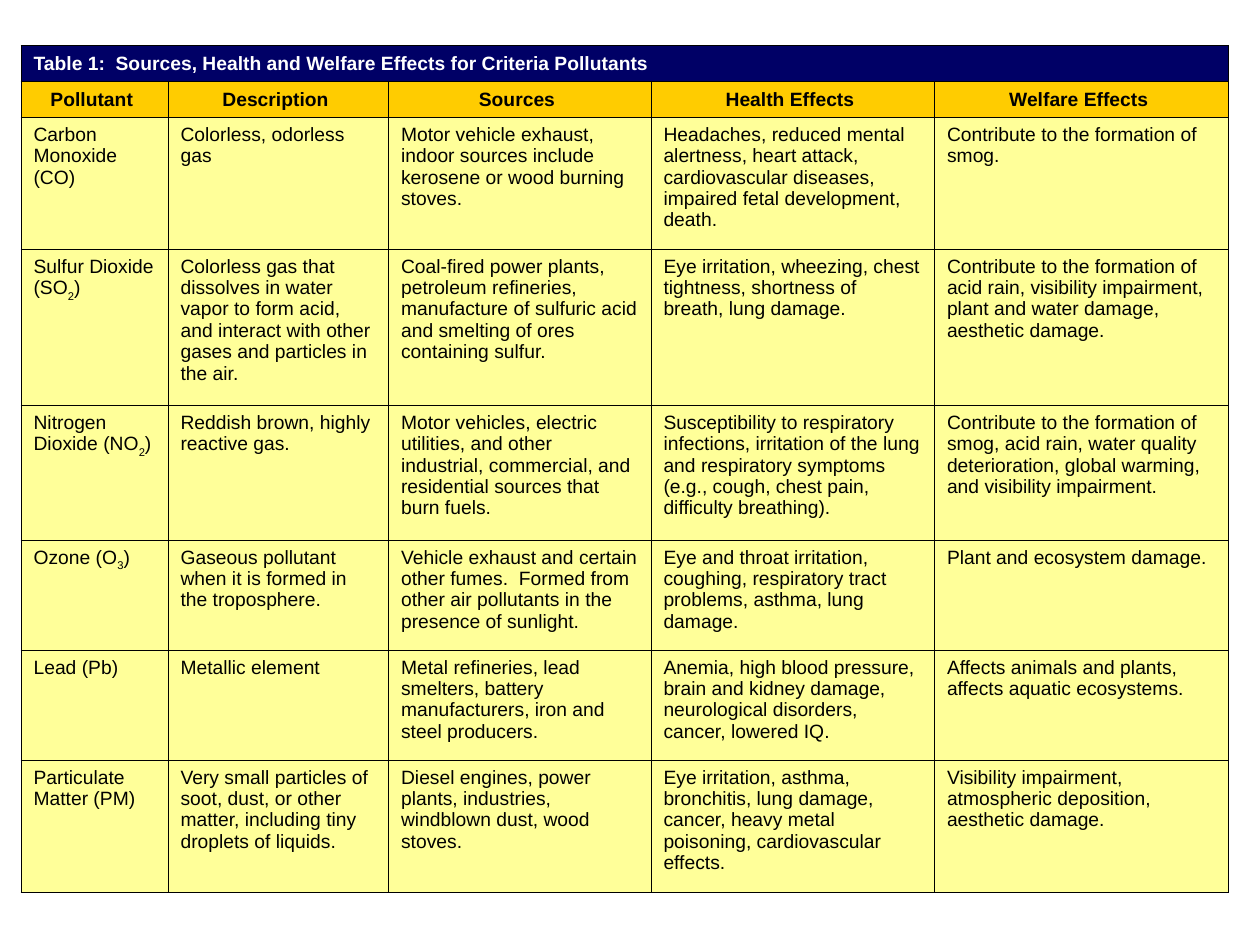
import lxml.etree
import pptx
import pptx.dml.color
import pptx.enum.text
import pptx.oxml.ns
import pptx.util

Pt = pptx.util.Pt
RGBColor = pptx.dml.color.RGBColor
ALIGN = pptx.enum.text.PP_ALIGN
ANCHOR = pptx.enum.text.MSO_ANCHOR

NAVY = RGBColor(0x00, 0x00, 0x66)
GOLD = RGBColor(0xFF, 0xCC, 0x00)
PALE_YELLOW = RGBColor(0xFF, 0xFF, 0x99)
WHITE = RGBColor(0xFF, 0xFF, 0xFF)
BLACK = RGBColor(0x00, 0x00, 0x00)

TITLE = "Table 1:  Sources, Health and Welfare Effects for Criteria Pollutants"
HEADINGS = ["Pollutant ", "Description ", "Sources ", "Health Effects ", "Welfare Effects "]
# Underscores enclose subscripts.
POLLUTANTS = [
    ["Carbon Monoxide (CO)",
     "Colorless, odorless gas",
     "Motor vehicle exhaust, indoor sources include kerosene or wood burning stoves.",
     "Headaches, reduced mental alertness, heart attack, cardiovascular diseases, "
     "impaired fetal development, death.",
     "Contribute to the formation of smog."],
    ["Sulfur Dioxide (SO_2_)",
     "Colorless gas that dissolves in water vapor to form acid, and interact with "
     "other gases and particles in the air.",
     "Coal-fired power plants, petroleum refineries, manufacture of sulfuric acid "
     "and smelting of ores containing sulfur.",
     "Eye irritation, wheezing, chest tightness, shortness of breath, lung damage.",
     "Contribute to the formation of acid rain, visibility impairment, plant and "
     "water damage, aesthetic damage."],
    ["Nitrogen Dioxide (NO_2_)",
     "Reddish brown, highly reactive gas.",
     "Motor vehicles, electric utilities, and other industrial, commercial, and "
     "residential sources that burn fuels.",
     "Susceptibility to respiratory infections, irritation of the lung and "
     "respiratory symptoms (e.g., cough, chest pain, difficulty breathing).",
     "Contribute to the formation of smog, acid rain, water quality deterioration, "
     "global warming, and visibility impairment."],
    ["Ozone (O_3_)",
     "Gaseous pollutant when it is formed in the troposphere.",
     "Vehicle exhaust and certain other fumes.  Formed from other air pollutants "
     "in the presence of sunlight.",
     "Eye and throat irritation, coughing, respiratory tract problems, asthma, lung damage.",
     "Plant and ecosystem damage."],
    ["Lead (Pb)",
     "Metallic element",
     "Metal refineries, lead smelters, battery manufacturers, iron and steel producers.",
     "Anemia, high blood pressure, brain and kidney damage, neurological disorders, "
     "cancer, lowered IQ.",
     "Affects animals and plants, affects aquatic ecosystems."],
    ["Particulate Matter (PM)",
     "Very small particles of soot, dust, or other matter, including tiny droplets of liquids.",
     "Diesel engines, power plants, industries, windblown dust, wood stoves.",
     "Eye irritation, asthma, bronchitis, lung damage, cancer, heavy metal poisoning, "
     "cardiovascular effects.",
     "Visibility impairment, atmospheric deposition, aesthetic damage."],
]

COLUMN_WIDTHS = [84, 126, 150, 162, 168]
ROW_HEIGHTS = [20.6, 20.6, 75.4, 89.2, 77.1, 62.9, 62.9, 75.4]


class TableSlide:
    font_format = {"name": "Arial", "size": Pt(11)}
    border_width = 0.34

    def __init__(self, slide):
        self.slide = slide

    def add_table(self, left, top, widths, heights):
        table = self.slide.shapes.add_table(
            len(heights), len(widths), Pt(left), Pt(top), Pt(sum(widths)), Pt(sum(heights))).table
        table.first_row = table.horz_banding = False
        for column, width in zip(table.columns, widths):
            column.width = Pt(width)
        for row, height in zip(table.rows, heights):
            row.height = Pt(height)
        return table

    def style_cell(self, cell, fill, anchor=ANCHOR.TOP):
        cell.vertical_anchor = anchor
        self.add_borders(cell)
        cell.fill.solid()
        cell.fill.fore_color.rgb = fill

    def add_borders(self, cell):
        qn = pptx.oxml.ns.qn
        properties = cell._tc.get_or_add_tcPr()
        for side in ("lnL", "lnR", "lnT", "lnB"):
            line = lxml.etree.SubElement(
                properties, qn(f"a:{side}"), w=str(int(Pt(self.border_width))))
            solid = lxml.etree.SubElement(line, qn("a:solidFill"))
            lxml.etree.SubElement(solid, qn("a:srgbClr"), val=str(BLACK))

    def add_run(self, paragraph, text, color, bold, subscript):
        run = paragraph.add_run()
        run.text = text
        for name, value in {**self.font_format, "bold": bold}.items():
            setattr(run.font, name, value)
        run.font.color.rgb = color
        if subscript:
            run._r.get_or_add_rPr().set("baseline", "-30000")

    def add_text(self, cell, text, color=BLACK, bold=False, alignment=ALIGN.LEFT):
        paragraph = cell.text_frame.paragraphs[0]
        paragraph.alignment = alignment
        for index, part in enumerate(text.split("_")):
            self.add_run(paragraph, part, color, bold, subscript=index % 2 == 1)


def main():
    presentation = pptx.Presentation()
    presentation.slide_width, presentation.slide_height = Pt(720), Pt(540)
    page = TableSlide(presentation.slides.add_slide(presentation.slide_layouts[6]))
    table = page.add_table(12, 26, COLUMN_WIDTHS, ROW_HEIGHTS)

    for column in range(len(COLUMN_WIDTHS)):
        page.style_cell(table.cell(0, column), NAVY, ANCHOR.MIDDLE)
    title_cell = table.cell(0, 0)
    title_cell.merge(table.cell(0, len(COLUMN_WIDTHS) - 1))
    page.add_text(title_cell, TITLE, WHITE, bold=True)

    for column, heading in enumerate(HEADINGS):
        cell = table.cell(1, column)
        page.style_cell(cell, GOLD, ANCHOR.MIDDLE)
        page.add_text(cell, heading, bold=True, alignment=ALIGN.CENTER)

    for row, pollutant in enumerate(POLLUTANTS, start=2):
        for column, text in enumerate(pollutant):
            cell = table.cell(row, column)
            page.style_cell(cell, PALE_YELLOW)
            page.add_text(cell, text)

    presentation.save("out.pptx")


if __name__ == "__main__":
    main()
